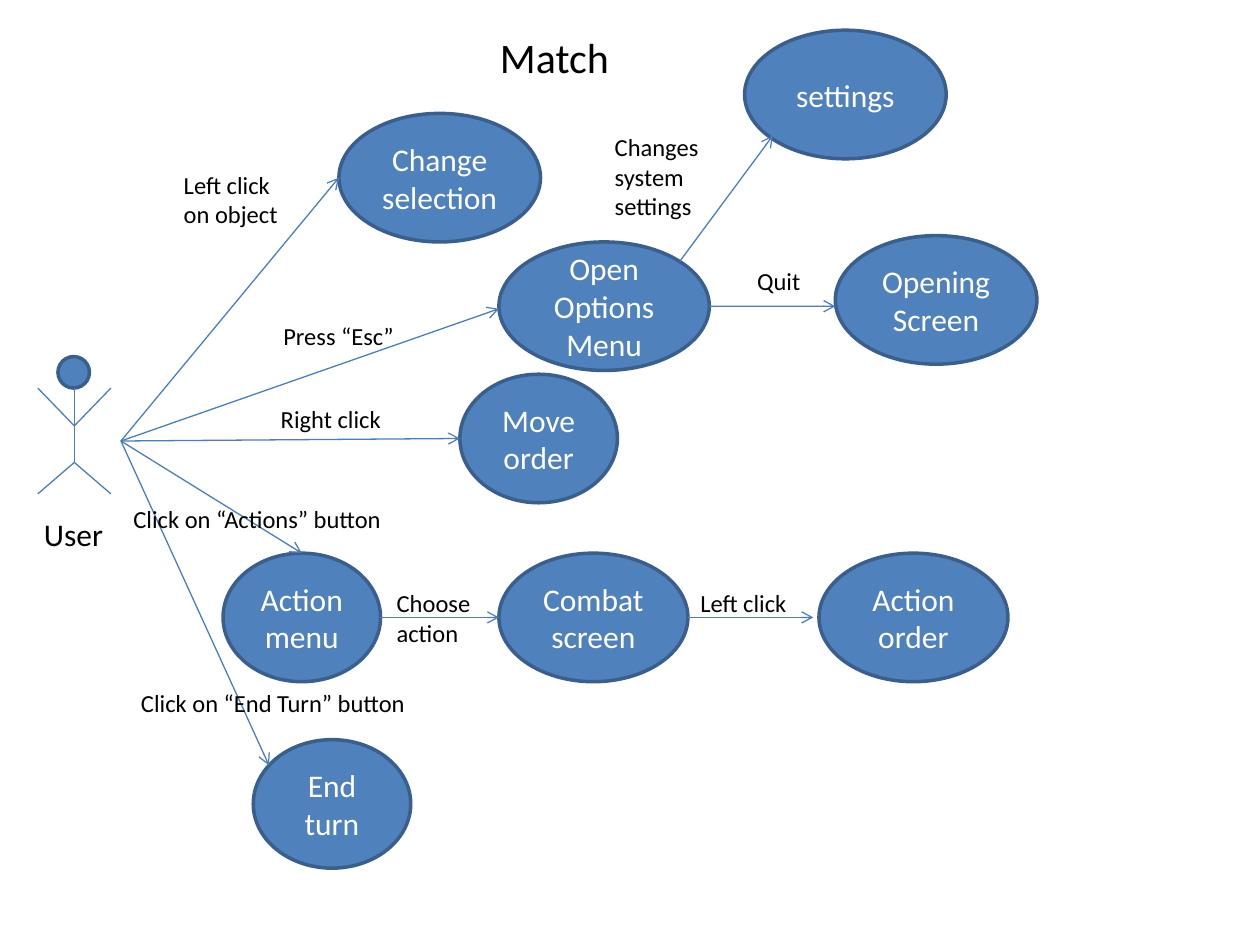
from dataclasses import dataclass

from lxml.etree import SubElement
from pptx import Presentation
from pptx.dml.color import RGBColor
from pptx.enum.shapes import MSO_CONNECTOR, MSO_SHAPE
from pptx.enum.text import MSO_ANCHOR, MSO_AUTO_SIZE, PP_ALIGN
from pptx.oxml.ns import qn
from pptx.util import Inches, Pt


@dataclass(frozen=True)
class Theme:
    font: str = "Calibri"
    fill: RGBColor = RGBColor(0x4F, 0x81, 0xBD)
    outline: RGBColor = RGBColor(0x3A, 0x5F, 0x8C)
    line: RGBColor = RGBColor(0x4B, 0x7E, 0xBC)
    light: RGBColor = RGBColor(0xFF, 0xFF, 0xFF)
    dark: RGBColor = RGBColor(0, 0, 0)
    title_size: int = 24
    node_size: int = 18
    label_size: int = 14


@dataclass(frozen=True)
class Box:
    """An area measured in grid cells of a tenth of an inch."""
    left: float
    top: float
    width: float
    height: float

    def inner(self, column, row, width, height):
        return Box(self.left + column, self.top + row, width, height)

    def point(self, across, down):
        return self.left + across * self.width, self.top + down * self.height

    def lengths(self):
        return [cells(n) for n in (self.left, self.top, self.width, self.height)]


THEME = Theme()
COLUMNS, ROWS = 100, 75
NODE_HEIGHT = 10.2
LEFT, RIGHT, TOP = (0, 0.5), (1, 0.5), (0.5, 0)


def cells(count):
    return Inches(count / 10)


def style_text(frame, size, color):
    for para in frame.paragraphs:
        for span in para.runs:
            span.font.name = THEME.font
            span.font.size = Pt(size)
            span.font.color.rgb = color


def add_ellipse(page, box):
    shape = page.shapes.add_shape(MSO_SHAPE.OVAL, *box.lengths())
    shape.shadow.inherit = False
    shape.fill.solid()
    shape.fill.fore_color.rgb = THEME.fill
    shape.line.color.rgb = THEME.outline
    shape.line.width = Pt(2)
    return shape


def add_node(page, box, text):
    frame = add_ellipse(page, box).text_frame
    frame.text = text
    frame.word_wrap = True
    frame.vertical_anchor = MSO_ANCHOR.MIDDLE
    frame.paragraphs[0].alignment = PP_ALIGN.CENTER
    style_text(frame, THEME.node_size, THEME.light)
    return box


def add_label(page, box, text, size=THEME.label_size):
    frame = page.shapes.add_textbox(*box.lengths()).text_frame
    frame.text = text
    frame.word_wrap = False
    frame.auto_size = MSO_AUTO_SIZE.SHAPE_TO_FIT_TEXT
    style_text(frame, size, THEME.dark)


def add_line(page, start, end, arrow=False):
    ends = [cells(n) for n in (*start, *end)]
    connector = page.shapes.add_connector(MSO_CONNECTOR.STRAIGHT, *ends)
    connector.line.color.rgb = THEME.line
    connector.line.width = Pt(0.75)
    properties = connector._element.spPr
    if arrow:
        SubElement(properties.find(qn("a:ln")), qn("a:tailEnd"), type="arrow")
    SubElement(properties, qn("a:effectLst"))


def add_user(page, box):
    """Stick figure with its name; returns where its arrows start."""
    add_ellipse(page, box.inner(2.1, 0, 2.5, 2.5))
    neck, chest, hip = [box.inner(3.4, row, 0, 0).point(0, 0)
                        for row in (2.5, 5.5, 8.4)]
    add_line(page, neck, hip)
    for joint, limb_row in ((chest, 2.5), (hip, 10.9)):
        for limb_column in (0.5, 6.3):
            add_line(page, joint, box.inner(limb_column, limb_row, 0, 0).point(0, 0))
    add_label(page, box.inner(0, 12.1, 6.8, 4), "User", THEME.node_size)
    return box.inner(7.1, 6.7, 0, 0).point(0, 0)


def add_flow(page, box, nodes, arrows=(), labels=()):
    """Nodes, the arrows between them and their labels; returns node boxes."""
    placed = {text: add_node(page, box.inner(column, row, width, NODE_HEIGHT), text)
              for text, column, row, width in nodes}
    for source, leave, target, enter in arrows:
        add_line(page, placed[source].point(*leave),
                 placed[target].point(*enter), arrow=True)
    for text, column, row, width, height in labels:
        add_label(page, box.inner(column, row, width, height), text)
    return placed


def add_user_links(page, box, start, placed):
    """Arrows from the user to the first node of every flow."""
    links = (("Change selection", LEFT), ("Open Options Menu", (0, 0.52)),
             ("Move order", LEFT), ("Action menu", TOP), ("End turn", (0.1, 0.2)))
    for target, enter in links:
        add_line(page, start, placed[target].point(*enter), arrow=True)
    labels = (("Left click\non object", 13.6, 13, 9.5, 5.7),
              ("Press “Esc”", 21.5, 25, 10.9, 3.4),
              ("Right click", 21.3, 31.6, 10, 3.4),
              ("Click on “Actions” button", 9.6, 39.5, 21.9, 3.4),
              ("Click on “End Turn” button", 10.2, 54.1, 23.2, 3.4))
    for text, *place in labels:
        add_label(page, box.inner(*place), text)


deck = Presentation()
deck.slide_width, deck.slide_height = cells(COLUMNS), cells(ROWS)
page = deck.slides.add_slide(deck.slide_layouts[6])
canvas = Box(0, 0, COLUMNS, ROWS)

# Title and user
add_label(page, canvas.inner(38.7, 2, 10.7, 5), "Match", THEME.title_size)
user_hand = add_user(page, canvas.inner(2.5, 28.3, 6.8, 16.1))

# Single-step actions
single_steps = add_flow(page, canvas, (
    ("Change selection", 26.9, 9, 16),
    ("Move order", 36.5, 29.7, 12.5),
    ("End turn", 20.1, 58.7, 12.5)))

# Options menu
options = add_flow(
    page, canvas.inner(39.6, 2.4, 42.7, 27),
    nodes=(("Open Options Menu", 0, 16.8, 16.7),
           ("settings", 19.5, 0, 16),
           ("Opening Screen", 26.7, 16.3, 16)),
    arrows=(("Open Options Menu", (0.86, 0.15), "settings", (0.14, 0.82)),
            ("Open Options Menu", RIGHT, "Opening Screen", (0, 0.55))),
    labels=(("Changes\nsystem\nsettings", 8.2, 7.6, 9.2, 8.1),
            ("Quit", 19.5, 18.2, 5.5, 3.4)))

# Action menu
actions = add_flow(
    page, canvas.inner(17.7, 43.9, 62.3, NODE_HEIGHT),
    nodes=(("Action menu", 0, 0, 12.5),
           ("Combat screen", 21.9, 0, 15),
           ("Action order", 47.3, 0, 15)),
    arrows=(("Action menu", RIGHT, "Combat screen", LEFT),
            ("Combat screen", RIGHT, "Action order", (-0.03, 0.5))),
    labels=(("Choose\naction", 12.8, 2.3, 8.4, 5.7),
            ("Left click", 36.9, 2.3, 9, 3.4)))

# Links from the user
add_user_links(page, canvas, user_hand, {**single_steps, **options, **actions})

deck.save("out.pptx")
